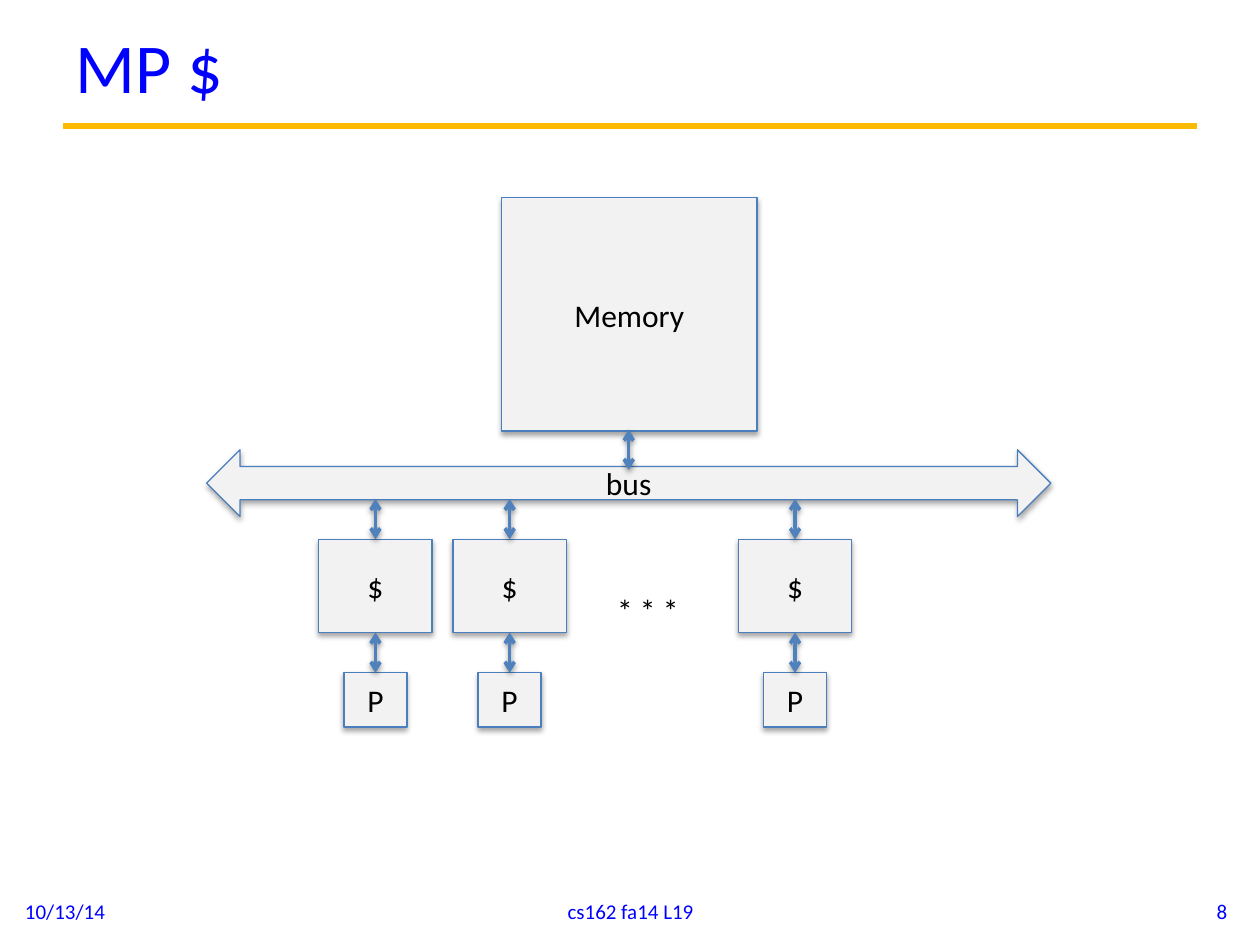
"""Build the multiprocessor cache slide on a grid of 100 columns by 75 rows."""
from pptx import Presentation
from pptx.dml.color import RGBColor
from pptx.enum.shapes import MSO_CONNECTOR as Conn, MSO_SHAPE as Shape
from pptx.enum.text import MSO_ANCHOR as Anchor, PP_ALIGN as Align
from pptx.oxml.ns import qn
from pptx.util import Inches, Pt
from lxml.etree import SubElement

COLORS = {"title": "0000FF", "rule": "FBBA03", "box": "F2F2F2", "edge": "4B7EBC",
          "arrow": "4F81BD", "text": "000000", "shadow": "000000"}
COLS, ROWS = 100, 75
CELL = Inches(0.1)
BUS_BOTTOM, CACHE_TOP, CACHE_BOTTOM, CPU_TOP = 39.6, 42.8, 50.2, 53.4
STACK_CENTERS = (29.8, 40.45, 63.1)


def grid(*cells):
    """Convert grid counts to slide lengths."""
    return [int(c * CELL) for c in cells]


def rgb(name):
    """Look up a named colour."""
    return RGBColor.from_string(COLORS[name])


def write(shape, text, size=18, color="text", align=Align.CENTER, anchor=Anchor.MIDDLE, wrap=True):
    """Put one formatted paragraph in a shape."""
    tf = shape.text_frame
    tf.word_wrap, tf.vertical_anchor = wrap, anchor
    p = tf.paragraphs[0]
    p.alignment = align
    r = p.add_run()
    r.text = text
    for key, value in {"name": "Calibri", "size": Pt(size)}.items():
        setattr(r.font, key, value)
    r.font.color.rgb = rgb(color)


def add_shadow(sp_pr, opacity, distance):
    """Drop a soft shadow straight down."""
    effects = sp_pr.find(qn("a:effectLst"))
    if effects is None:
        effects = SubElement(sp_pr, qn("a:effectLst"))
    shadow = SubElement(effects, qn("a:outerShdw"), blurRad=str(Pt(3.1)),
                        dist=str(Pt(distance)), dir="5400000", rotWithShape="0")
    color = SubElement(shadow, qn("a:srgbClr"), val=COLORS["shadow"])
    SubElement(color, qn("a:alpha"), val=str(opacity * 1000))


def add_box(shapes, text, x, y, w, h, kind=Shape.RECTANGLE):
    """Add a labelled, shadowed block."""
    sp = shapes.add_shape(kind, *grid(x, y, w, h))
    sp.shadow.inherit = False
    sp.fill.solid()
    sp.fill.fore_color.rgb = rgb("box")
    sp.line.color.rgb = rgb("edge")
    sp.line.width = Pt(0.75)
    add_shadow(sp._element.spPr, 35, 1.8)
    write(sp, text)


def add_line(shapes, x1, y1, x2, y2, color, width):
    """Add a straight line and return its properties element."""
    line = shapes.add_connector(Conn.STRAIGHT, *grid(x1, y1, x2, y2))
    line.line.color.rgb = rgb(color)
    line.line.width = Pt(width)
    sp_pr = line._element.spPr
    SubElement(sp_pr, qn("a:effectLst"))
    return sp_pr


def add_link(shapes, x, top, bottom):
    """Add a vertical double-headed arrow."""
    sp_pr = add_line(shapes, x, top, x, bottom, "arrow", 2)
    for end in ("a:headEnd", "a:tailEnd"):
        SubElement(sp_pr.find(qn("a:ln")), qn(end), type="arrow")
    add_shadow(sp_pr, 38, 1.6)


def add_stack(s, center):
    """Group a cache, its processor and their links."""
    shapes = s.shapes.add_group_shape().shapes
    add_box(shapes, "$", center - 4.5, CACHE_TOP, 9, CACHE_BOTTOM - CACHE_TOP)
    add_box(shapes, "P", center - 2.5, CPU_TOP, 5, 4.3)
    add_link(shapes, center, CACHE_BOTTOM, CPU_TOP)
    add_link(shapes, center, BUS_BOTTOM, CACHE_TOP)


def add_label(s, text, x, y, w, h, **style):
    """Add a text box."""
    write(s.shapes.add_textbox(*grid(x, y, w, h)), text, **style)


def add_title(s, text):
    """Place the title above its rule."""
    title = s.shapes.title
    title.left, title.top, title.width, title.height = grid(5, 0.4, COLS - 10, 9.6)
    write(title, text, size=40, color="title", align=Align.LEFT)
    add_line(s.shapes, 5, 10, COLS - 5, 10, "rule", 3.75)


def add_footer(s):
    """Place date, course and page number along the bottom."""
    for text, x, w, align in (("10/13/14", 1, 23.3, Align.LEFT),
                              ("cs162 fa14 L19", 34.2, 31.7, Align.CENTER),
                              ("8", 75.1, 23.3, Align.RIGHT)):
        add_label(s, text, x, 70.3, w, 4, size=12, color="title", align=align)


def main():
    """Build and save the slide."""
    prs = Presentation()
    prs.slide_width, prs.slide_height = grid(COLS, ROWS)
    s = prs.slides.add_slide(prs.slide_layouts[5])
    add_title(s, "MP $")
    add_footer(s)
    add_box(s.shapes, "bus", 16.4, 35.7, 67, 5.3, Shape.LEFT_RIGHT_ARROW)
    add_box(s.shapes, "Memory", 39.8, 15.7, 20.3, 18.5)
    add_link(s.shapes, 49.9, 34.1, 37.3)
    for center in STACK_CENTERS:
        add_stack(s, center)
    add_label(s, "* * *", 48, 46.4, 6.9, 4, align=Align.LEFT, anchor=Anchor.TOP, wrap=False)
    prs.save("out.pptx")


main()
